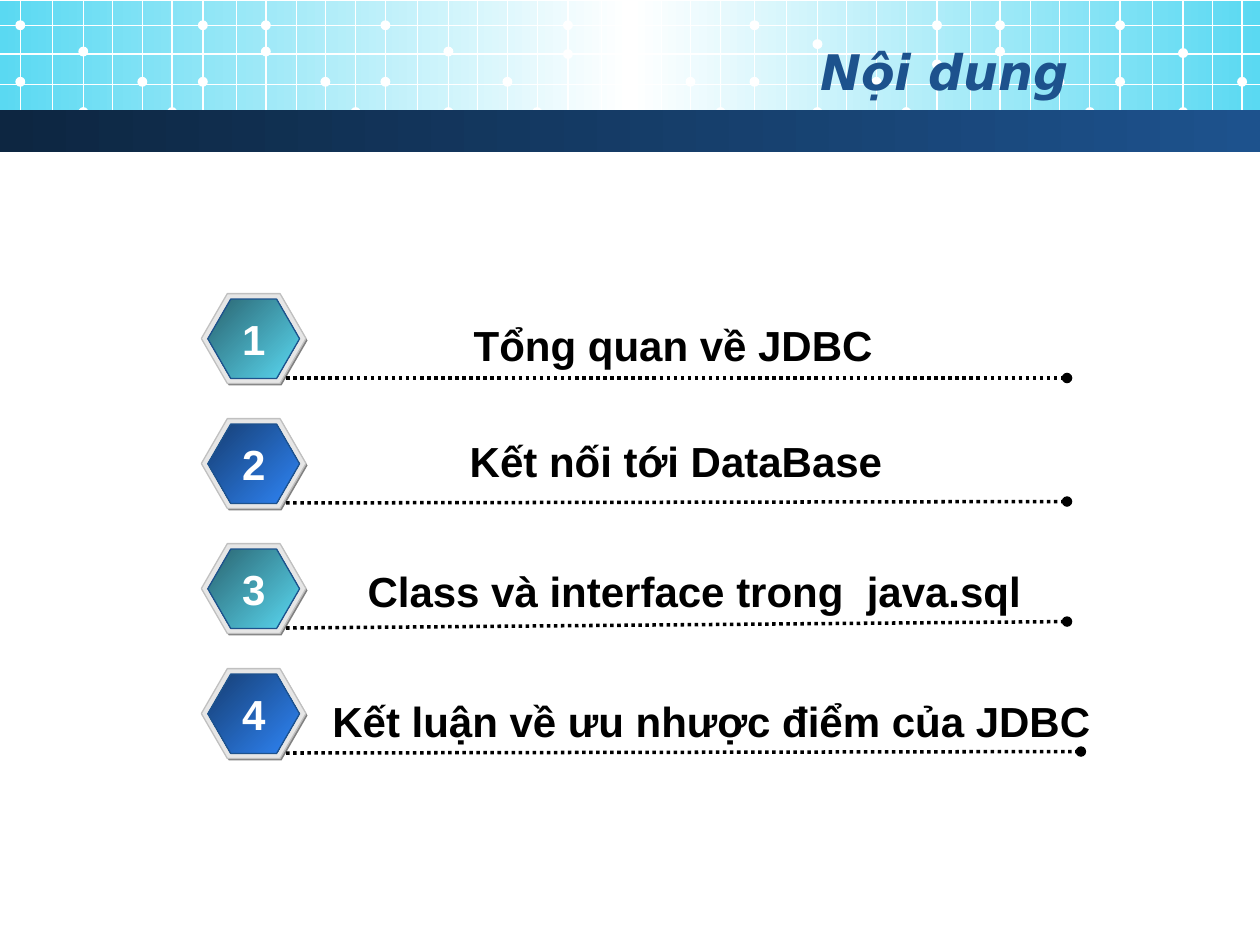
from lxml import etree
from pptx import Presentation
from pptx.dml.color import RGBColor
from pptx.enum.dml import MSO_LINE
from pptx.enum.shapes import MSO_CONNECTOR, MSO_SHAPE
from pptx.enum.text import MSO_ANCHOR, PP_ALIGN
from pptx.oxml.ns import qn
from pptx.util import Cm, Pt

STRAIGHT = MSO_CONNECTOR.STRAIGHT
RECTANGLE, OVAL, HEXAGON = MSO_SHAPE.RECTANGLE, MSO_SHAPE.OVAL, MSO_SHAPE.HEXAGON
LEFT, CENTER, RIGHT = PP_ALIGN.LEFT, PP_ALIGN.CENTER, PP_ALIGN.RIGHT
TOP, MIDDLE = MSO_ANCHOR.TOP, MSO_ANCHOR.MIDDLE

# Content; lengths are centimetres
TITLE = "Nội dung"
# text, left, top, width, x where the dotted line ends, rise of that end
TOPICS = [
    ("Tổng quan về JDBC", 9.3, 6.32, 10.21, 21.51, 0),
    ("Kết nối tới DataBase", 9.22, 8.66, 9.86, 21.51, 0.03),
    ("Class và interface trong  java.sql", 7.16, 11.28, 14.91, 21.51, 0.13),
    ("Kết luận về ưu nhược điểm của JDBC", 6.45, 13.89, 16.23, 21.79, 0.03),
]
COLORS = {
    "white": "FFFFFF", "black": "000000", "cyan": "5AD9F2", "navy": "0D2641",
    "blue": "1D528D", "shade": "808080", "rim": "E6E6E6", "rim line": "C0C0C0",
    "teal dark": "2A6470", "royal dark": "163E72", "royal": "2F85F7",
}
BADGE_GRADIENTS = [("teal dark", "cyan"), ("royal dark", "royal")]

PAGE_WIDTH, PAGE_HEIGHT = 25.4, 19.05
FIRST_ROW, ROW_PITCH = 5.92, 2.52

# The header pattern repeats four times: start x, heights of its two varying dots
TILES = [(0.41, 1.04, 1.65), (7.77, 1.04, 1.09), (15.21, 0.89, 1.3), (22.58, 1.07, 1.65)]
COLUMNS = [0, 0.65, 1.27, 1.86, 2.46, 3.06, 3.68, 4.36, 4.95, 5.56, 6.15, 6.76]
GRID_ROWS = [0.51, 1.09, 1.7, 2.26]
GRID_BOTTOM = 2.79
DOT = 0.2


def rgb(name):
    return RGBColor.from_string(COLORS[name])


def add_shape(kind, left, top, width, height, fill, line=None, angle=0):
    """Fill is one colour name, or a tuple of evenly spaced gradient stops."""
    shape = page.shapes.add_shape(kind, Cm(left), Cm(top), Cm(width), Cm(height))
    shape.shadow.inherit = False
    if isinstance(fill, tuple):
        shape.fill.gradient()
        shape.fill.gradient_angle = (360 - angle) % 360
        stops = shape._element.spPr.find(qn("a:gradFill")).find(qn("a:gsLst"))
        for stop in list(stops):
            stops.remove(stop)
        for index, name in enumerate(fill):
            position = 100000 * index // (len(fill) - 1)
            stop = etree.SubElement(stops, qn("a:gs"), pos=str(position))
            etree.SubElement(stop, qn("a:srgbClr"), val=COLORS[name])
    else:
        shape.fill.solid()
        shape.fill.fore_color.rgb = rgb(fill)
    if line:
        shape.line.color.rgb = rgb(line)
        shape.line.width = Pt(0.75)
    else:
        shape.line.fill.background()
    return shape


def add_hexagon(*args, **kwargs):
    hexagon = add_shape(HEXAGON, *args, **kwargs)
    hexagon.adjustments[0] = 0.289
    hexagon.adjustments[1] = 1.155


def add_line(x1, y1, x2, y2, color, width):
    line = page.shapes.add_connector(STRAIGHT, Cm(x1), Cm(y1), Cm(x2), Cm(y2))
    line.line.color.rgb = rgb(color)
    line.line.width = Pt(width)
    etree.SubElement(line._element.spPr, qn("a:effectLst"))
    return line


def add_text(text, left, top, width, height, color, align=LEFT, anchor=TOP,
             size=24, font="Arial", italic=False, wrap=True):
    box = page.shapes.add_textbox(Cm(left), Cm(top), Cm(width), Cm(height))
    frame = box.text_frame
    frame.word_wrap = wrap
    frame.vertical_anchor = anchor
    para = frame.paragraphs[0]
    para.text = text
    para.alignment = align
    para.font.name = font
    para.font.size = Pt(size)
    para.font.bold = True
    para.font.italic = italic
    para.font.color.rgb = rgb(color)


deck = Presentation()
deck.slide_width, deck.slide_height = Cm(PAGE_WIDTH), Cm(PAGE_HEIGHT)
page = deck.slides.add_slide(deck.slide_layouts[6])

# Header band with its grid of lines and dots
add_shape(RECTANGLE, 0, 0.02, PAGE_WIDTH, 2.6, ("cyan", "white", "cyan"))
for start, upper, lower in TILES:
    for offset in COLUMNS:
        if start + offset < PAGE_WIDTH:
            add_line(start + offset, 0, start + offset, GRID_BOTTOM, "white", 0.75)
    dots = [(0, 1.65), (0, 0.51), (2, upper), (2, 2.26), (4, 1.65), (5, 2.26),
            (6, lower), (6, 0.51), (8, 1.04), (8, 0.51), (10, 1.65), (11, 2.26)]
    for column, y in dots:
        x = start + COLUMNS[column]
        if x < PAGE_WIDTH:
            add_shape(OVAL, x - DOT / 2, y - DOT / 2, DOT, DOT, "white")
for y in GRID_ROWS:
    add_line(0, y, PAGE_WIDTH, y, "white", 0.75)

# Dark bar and title
add_shape(RECTANGLE, 0, 2.22, PAGE_WIDTH, 0.84, ("navy", "blue"))
add_text(TITLE, 1.27, 0.64, 20.52, 1.57, "blue", RIGHT, MIDDLE,
         size=28, font="DejaVu Sans", italic=True)

# Numbered topics
for index, (text, left, text_top, width, line_end, rise) in enumerate(TOPICS):
    top = FIRST_ROW + index * ROW_PITCH
    gradient = BADGE_GRADIENTS[index % len(BADGE_GRADIENTS)]
    add_hexagon(4.09, top + 0.04, 2.11, 1.81, "shade")
    add_hexagon(4.06, top, 2.11, 1.81, "rim", "rim line")
    add_hexagon(4.19, top + 0.11, 1.85, 1.6, gradient, "blue", angle=45)

    base = top + 1.7
    rule = add_line(5.77, base, line_end, base - rise, "black", 2)
    rule.line.dash_style = MSO_LINE.ROUND_DOT
    etree.SubElement(rule.line._get_or_add_ln(), qn("a:tailEnd"), type="oval")

    add_text(text, left, text_top, width, 1.27, "black")
    add_text(str(index + 1), 4.62, top + 0.28, 0.99, 1.27, "white", CENTER, wrap=False)

deck.save("out.pptx")
